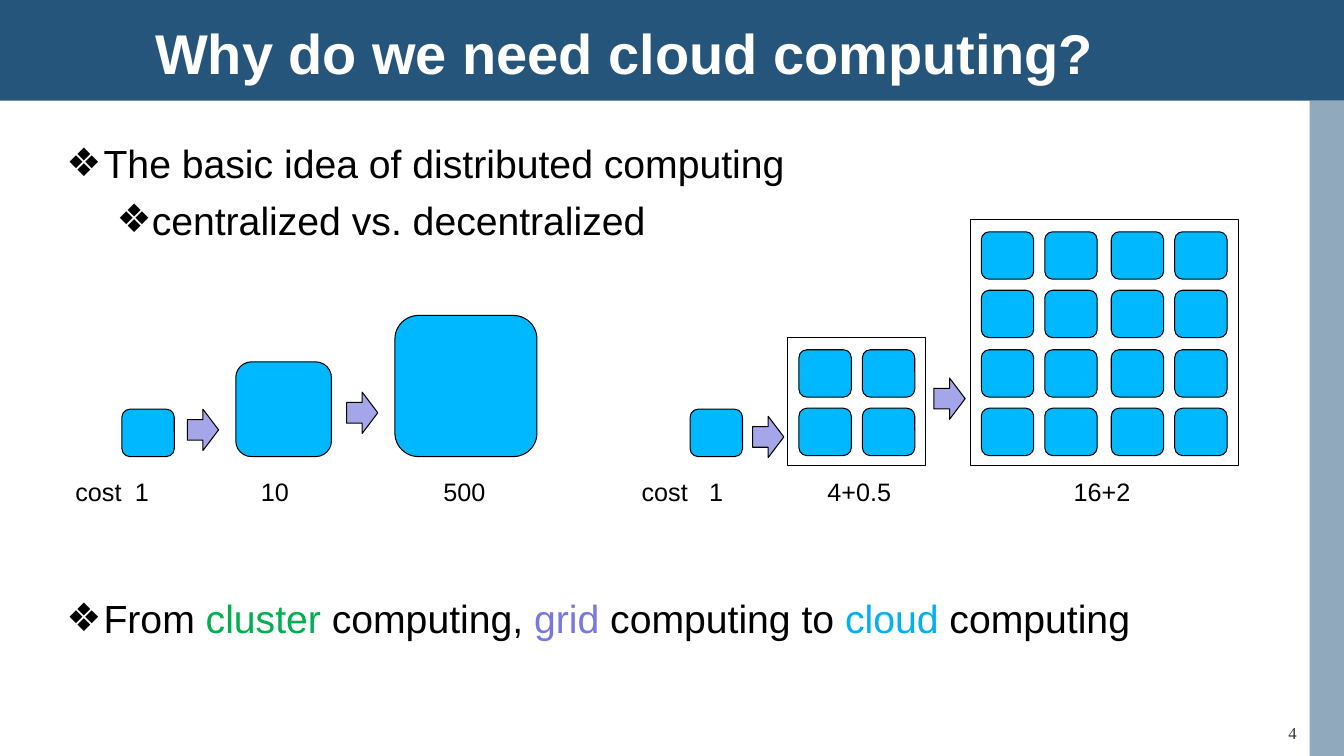
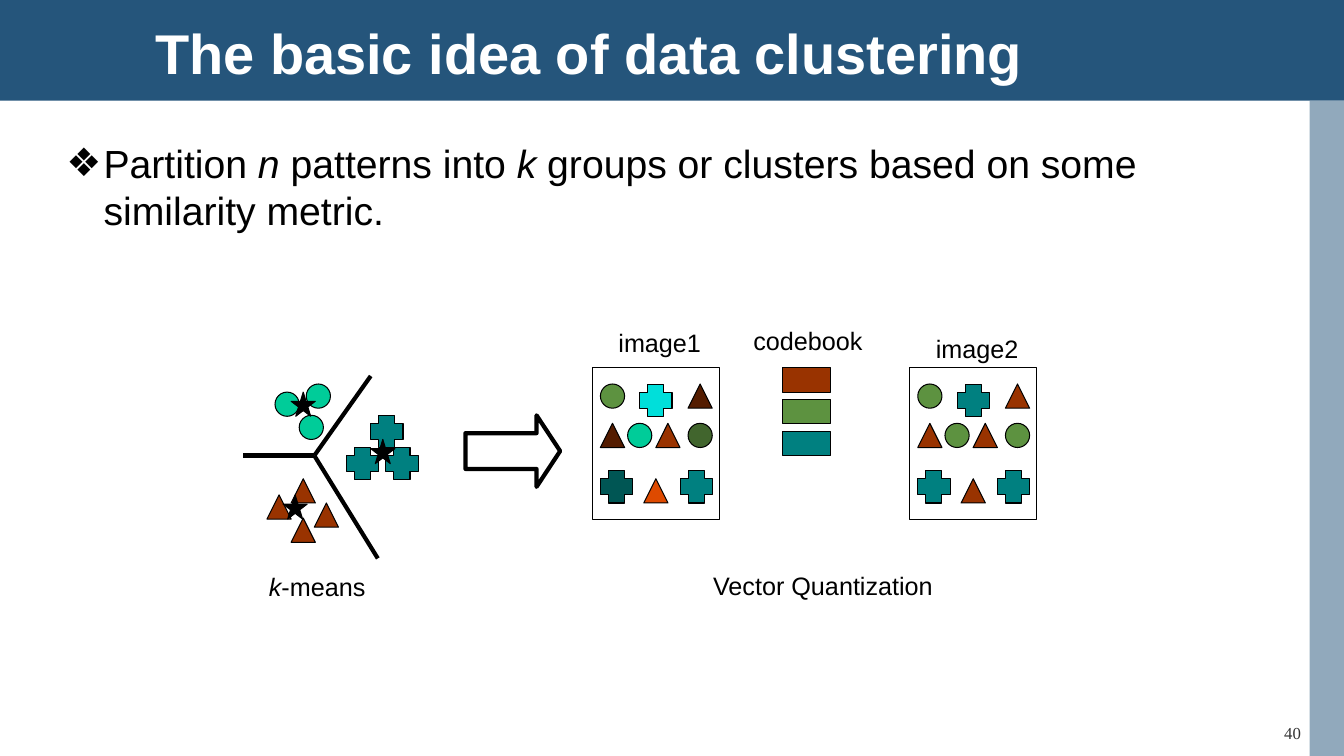
"""Build two lecture slides on cloud computing and data clustering."""
from lxml.etree import SubElement
from pptx import Presentation
from pptx.dml.color import RGBColor
from pptx.enum.shapes import MSO_CONNECTOR, MSO_SHAPE
from pptx.enum.text import MSO_ANCHOR, MSO_AUTO_SIZE, PP_ALIGN
from pptx.oxml.ns import qn
from pptx.util import Pt

PX = 9144
BLACK, WHITE, NAVY = "000000", "FFFFFF", "25557B"
SKY, LILAC = "00B8FF", "A5A5E9"
MINT, OLIVE, RUST, TEAL = "00CC99", "5D9240", "993300", "008080"
CIRCLE, TRIANGLE, CROSS = MSO_SHAPE.OVAL, MSO_SHAPE.ISOSCELES_TRIANGLE, MSO_SHAPE.CROSS
SQUARE, ARROW, STAR = MSO_SHAPE.ROUNDED_RECTANGLE, MSO_SHAPE.RIGHT_ARROW, MSO_SHAPE.STAR_5_POINT
MARK_SIZE = {CIRCLE: 24, TRIANGLE: 24, STAR: 24, CROSS: 32}
BULLET_INDENTS = [(37, -37), (81, -31)]
from_hex = RGBColor.from_string


def add_box(shapes, kind, bounds, fill=None, weight=0.75):
    """Add a preset shape with an optional fill and a black outline."""
    box = shapes.add_shape(kind, *[length * PX for length in bounds])
    box.shadow.inherit = False
    if fill:
        box.fill.solid()
        box.fill.fore_color.rgb = from_hex(fill)
    else:
        box.fill.background()
    if weight:
        box.line.color.rgb = from_hex(BLACK)
        box.line.width = Pt(weight)
    else:
        box.line.fill.background()
    return box


def add_text(shapes, bounds, paragraphs, size=18, font="Arial", align=PP_ALIGN.LEFT,
             tabs=(), bulleted=False):
    """Add a text box of (level, spans), each span being (text, colour, italic)."""
    box = shapes.add_textbox(*[length * PX for length in bounds])
    frame = box.text_frame
    frame.word_wrap = True
    for index, (level, spans) in enumerate(paragraphs):
        para = frame.add_paragraph() if index else frame.paragraphs[0]
        para.alignment = align
        para.level = level
        properties = para._p.get_or_add_pPr()
        if bulleted:
            margin, indent = BULLET_INDENTS[level]
            properties.set("marL", str(margin * PX))
            properties.set("indent", str(indent * PX))
            SubElement(SubElement(properties, qn("a:buClr")), qn("a:srgbClr"), val=BLACK)
            SubElement(properties, qn("a:buFont"), typeface="Arial")
            SubElement(properties, qn("a:buChar"), char="❖")
        if tabs:
            stops = SubElement(properties, qn("a:tabLst"))
            for stop in tabs:
                SubElement(stops, qn("a:tab"), pos=str(stop * PX), algn="ctr")
        if index:
            para.space_before = Pt(7)
        for text, color, italic in spans:
            span = para.add_run()
            span.text = text
            span.font.name = font
            span.font.size = Pt(size)
            span.font.italic = italic
            span.font.color.rgb = from_hex(color)


deck = Presentation()
deck.slide_width, deck.slide_height = 1334 * PX, 750 * PX
layout = deck.slide_layouts[5]
for holder in list(layout.placeholders)[1:]:
    holder.element.getparent().remove(holder.element)

pages = []
for heading, number in [("Why do we need cloud computing?", "4"),
                        ("The basic idea of data clustering", "40")]:
    page = deck.slides.add_slide(layout)
    pages.append(page)
    title = page.shapes.title
    title.left, title.top, title.width, title.height = 144 * PX, 25 * PX, 1033 * PX, 53 * PX
    title.text_frame.text = heading
    title.text_frame.auto_size = MSO_AUTO_SIZE.NONE
    title.text_frame.vertical_anchor = MSO_ANCHOR.MIDDLE
    para = title.text_frame.paragraphs[0]
    para.alignment = PP_ALIGN.LEFT
    span = para.runs[0]
    span.font.name, span.font.size, span.font.bold = "Arial", Pt(40), True
    span.font.color.rgb = from_hex(WHITE)
    if len(pages) == 1:
        top_band = add_box(page.shapes, MSO_SHAPE.RECTANGLE, (0, 0, 1334, 100), NAVY, 0)
        side_band = add_box(page.shapes, MSO_SHAPE.RECTANGLE, (1300, 100, 34, 650), NAVY, 0)
        SubElement(side_band.element.find(".//" + qn("a:srgbClr")), qn("a:alpha"), val="50000")
        for band in (side_band, top_band):
            layout.shapes.element.insert(2, band.element)
    add_text(page.shapes, (1222, 712, 122, 28), [(0, [(number, "333333", False)])],
             size=12, font="Times New Roman", align=PP_ALIGN.CENTER)

cloud_page, cluster_page = pages

add_text(cloud_page.shapes, (56, 133, 1228, 115), [
    (0, [("The basic idea of distributed computing", BLACK, False)]),
    (1, [("centralized vs. decentralized", BLACK, False)]),
], size=28, bulleted=True)
add_text(cloud_page.shapes, (56, 585, 1228, 60), [(0, [
    ("From ", BLACK, False),
    ("cluster", "00B050", False),
    (" computing, ", BLACK, False),
    ("grid ", "7878DE", False),
    ("computing to ", BLACK, False),
    ("cloud", "00B0F0", False),
    (" computing", BLACK, False),
])], size=28, bulleted=True)

for bounds in [(121, 406, 52, 47), (234, 359, 95, 94), (392, 313, 141, 140), (685, 406, 52, 47)]:
    add_box(cloud_page.shapes, SQUARE, bounds, SKY)

for left, top, count, frame in [(974, 230, 4, (963, 218, 266, 244)),
                                (793, 347, 2, (782, 335, 137, 127))]:
    cluster = cloud_page.shapes.add_group_shape()
    for column in range(count):
        for row in range(count):
            x = left + 63 * column + 3 * (column // 2)
            y = top + 117 * row // 2
            add_box(cluster.shapes, SQUARE, (x, y, 52, 47), SKY)
    add_box(cluster.shapes, MSO_SHAPE.RECTANGLE, frame)

for left, top in [(186, 406), (344, 389), (747, 413), (927, 375)]:
    add_box(cloud_page.shapes, ARROW, (left, top, 31, 41), LILAC)

for bounds, costs, tabs in [((65, 468, 476, 40), "cost\t1\t10\t500", (66, 198, 386)),
                            ((627, 468, 602, 40), "cost\t1\t4+0.5\t16+2", (74, 216, 457))]:
    add_text(cloud_page.shapes, bounds, [(0, [(costs, BLACK, False)])], tabs=tabs)

add_text(cluster_page.shapes, (56, 133, 1228, 108), [(0, [
    ("Partition ", BLACK, False),
    ("n ", BLACK, True),
    ("patterns into ", BLACK, False),
    ("k", BLACK, True),
    (" groups or clusters based on some similarity metric.", BLACK, False),
])], size=28, bulleted=True)

patterns = cluster_page.shapes.add_group_shape()
for kind, color, places in [
    (CIRCLE, MINT, [(273, 389), (297, 412), (304, 381)]),
    (TRIANGLE, RUST, [(289, 475), (265, 491), (289, 514), (312, 499)]),
    (CROSS, TEAL, [(344, 444), (368, 412), (383, 444)]),
    (STAR, BLACK, [(289, 389), (281, 491), (368, 436)]),
]:
    for left, top in places:
        add_box(patterns.shapes, kind, (left, top, MARK_SIZE[kind], MARK_SIZE[kind]), color)

for end_x, end_y in [(241, 452), (375, 554), (368, 373)]:
    border = cluster_page.shapes.add_connector(
        MSO_CONNECTOR.STRAIGHT, 312 * PX, 452 * PX, end_x * PX, end_y * PX)
    border.line.color.rgb = from_hex(BLACK)
    border.line.width = Pt(3)
    SubElement(border.element.spPr, qn("a:effectLst"))

arrow = add_box(cluster_page.shapes, ARROW, (462, 412, 94, 71), weight=3)
arrow.adjustments[1] = 0.33

image_marks = [
    (CIRCLE, 35, 420, MINT, OLIVE),
    (CIRCLE, 95, 420, "41652D", OLIVE),
    (CIRCLE, 8, 381, OLIVE, OLIVE),
    (TRIANGLE, 95, 381, "541C00", RUST),
    (TRIANGLE, 63, 420, RUST, RUST),
    (TRIANGLE, 8, 420, "541C00", RUST),
    (TRIANGLE, 51, 475, "DE4A00", RUST),
    (CROSS, 87, 467, TEAL, TEAL),
    (CROSS, 47, 381, "00DFDA", TEAL),
    (CROSS, 8, 467, "005654", TEAL),
]
for index, left in enumerate([588, 903]):
    image = cluster_page.shapes.add_group_shape()
    for kind, offset, top, *colors in image_marks:
        size = MARK_SIZE[kind]
        add_box(image.shapes, kind, (left + offset, top, size, size), colors[index])
    add_box(image.shapes, MSO_SHAPE.RECTANGLE, (left, 365, 126, 150))

codebook = cluster_page.shapes.add_group_shape()
for top, color in zip((365, 396, 428), (RUST, OLIVE, TEAL)):
    add_box(codebook.shapes, MSO_SHAPE.RECTANGLE, (777, top, 47, 24), color)

for bounds, spans in [
    ((604, 320, 120, 40), [("image1", BLACK, False)]),
    ((738, 318, 150, 40), [("codebook", BLACK, False)]),
    ((919, 326, 120, 40), [("image2", BLACK, False)]),
    ((257, 562, 140, 40), [("k", BLACK, True), ("-means", BLACK, False)]),
    ((698, 561, 270, 40), [("Vector Quantization", BLACK, False)]),
]:
    add_text(cluster_page.shapes, bounds, [(0, spans)])

deck.save("out.pptx")
